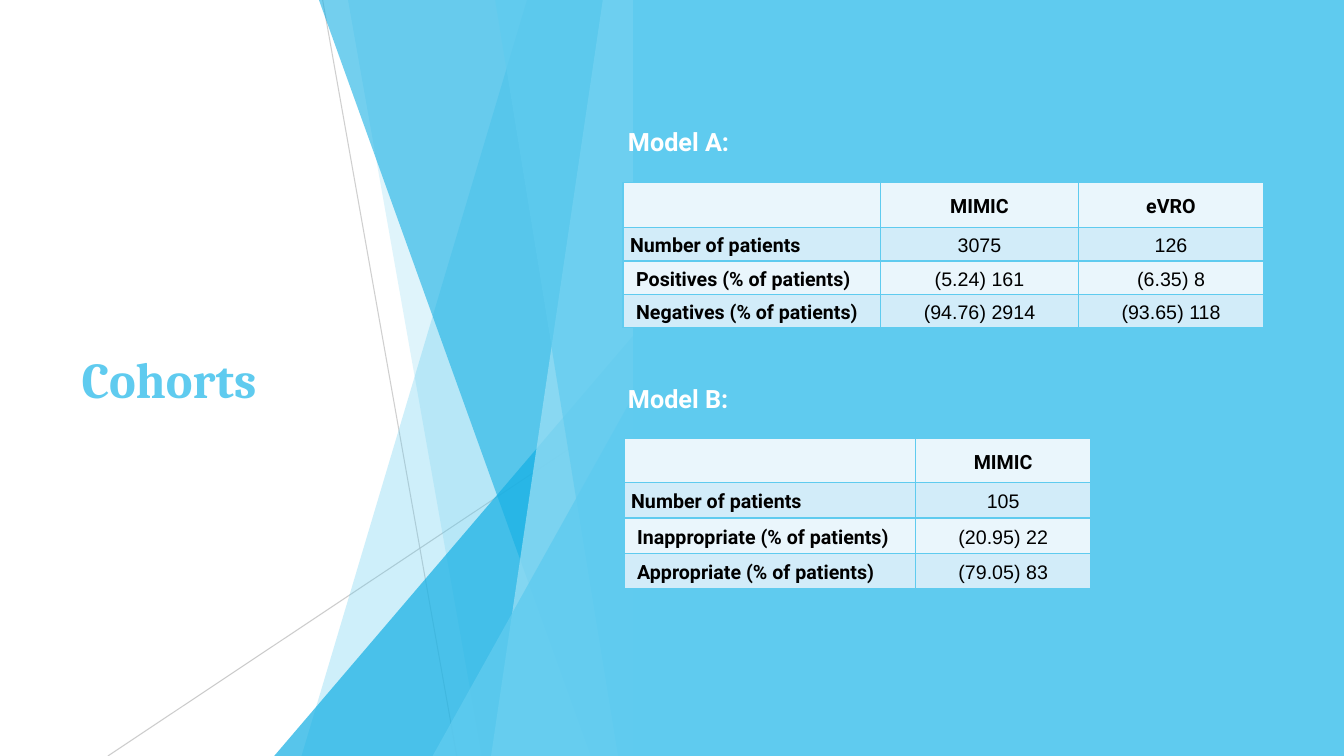
from dataclasses import dataclass

from lxml import etree
from pptx import Presentation
from pptx.dml.color import RGBColor
from pptx.enum.shapes import MSO_CONNECTOR, MSO_SHAPE
from pptx.enum.text import MSO_ANCHOR, PP_ALIGN
from pptx.oxml import parse_xml
from pptx.oxml.ns import nsdecls, qn
from pptx.util import Inches, Pt

STRAIGHT = MSO_CONNECTOR.STRAIGHT
TRIANGLE, RECT = MSO_SHAPE.ISOSCELES_TRIANGLE, MSO_SHAPE.RECTANGLE
MIDDLE, LEFT, CENTER = MSO_ANCHOR.MIDDLE, PP_ALIGN.LEFT, PP_ALIGN.CENTER

SKY = RGBColor(0x5F, 0xCB, 0xEF)
BLUE = RGBColor(0x17, 0xB0, 0xE4)
PALE = RGBColor(0x9F, 0xE0, 0xF5)
GRAY = RGBColor(0xBF, 0xBF, 0xBF)
LIGHT_ROW = RGBColor(0xEA, 0xF6, 0xFC)
DARK_ROW = RGBColor(0xD2, 0xEC, 0xF9)
BLACK = RGBColor(0, 0, 0)
WHITE = RGBColor(0xFF, 0xFF, 0xFF)

WIDTH, HEIGHT = 13.33, 7.5
PANEL_LEFT = 6.28
BEAM_TOP = -0.01
CELL_MARGINS = {"margin_left": Inches(0.07), "margin_right": Inches(0.07),
                "margin_top": 0, "margin_bottom": 0, "vertical_anchor": MIDDLE}
TITLE_FONT = {"name": "Cambria", "size": Pt(36), "bold": True}
LABEL_FONT = {"name": "Roboto", "size": Pt(18), "bold": True}
HEAD_FONT = {"name": "Roboto", "size": Pt(14), "bold": True}
VALUE_FONT = HEAD_FONT | {"bold": False}


@dataclass
class Ray:
    x1: float
    y1: float
    x2: float
    alpha: int


@dataclass
class Beam:
    top_x: float
    bottom_x: float
    color: RGBColor
    alpha: int


@dataclass
class Wedge:
    left: float
    top: float
    color: RGBColor
    alpha: int


@dataclass
class Cohort:
    label: str
    label_top: float
    label_width: float
    label_spacing: float
    left: float
    top: float
    widths: list[float]
    heights: list[float]
    rows: list[list[str]]


RAYS = [Ray(3.2, 0, 4.53, 75), Ray(PANEL_LEFT, 4.03, 1.07, 80)]
FAN = [
    Beam(5.23, 2.99, SKY, 30),
    Beam(3.45, 4.78, SKY, 20),
    Wedge(2.72, 3.33, BLUE, 72),
    Beam(3.16, 5.86, BLUE, 60),
    Beam(5.98, 4.87, PALE, 70),
    Beam(4.91, 6.13, SKY, 65),
    Wedge(4.29, 3.93, SKY, 80),
]
COHORTS = [
    Cohort("Model A:", 1.14, 1.75, 1.2, 6.18, 1.81, [2.55, 1.97, 1.83], [0.45] + [0.33] * 3, [
        ["", "MIMIC", "eVRO"],
        ["Number of patients", "3075", "126"],
        ["Positives (% of patients)", "161 (5.24)", "8 (6.35)"],
        ["Negatives (% of patients)", "2914 (94.76)", "118 (93.65)"],
    ]),
    Cohort("Model B:", 3.75, 1.32, 1.0, 6.19, 4.35, [2.89, 1.74], [0.44] + [0.35] * 3, [
        ["", "MIMIC"],
        ["Number of patients", "105"],
        ["Inappropriate (% of patients)", "22 (20.95)"],
        ["Appropriate (% of patients)", "83 (79.05)"],
    ]),
]


def apply(target, values: dict) -> None:
    for name, value in values.items():
        setattr(target, name, value)


def set_alpha(shape, alpha: int) -> None:
    clr = shape._element.spPr.find(".//" + qn("a:srgbClr"))
    etree.SubElement(clr, qn("a:alpha")).set("val", str(alpha * 1000))


def paint(shape, color: RGBColor, alpha: int = 100) -> None:
    shape.shadow.inherit = False
    shape.fill.solid()
    shape.fill.fore_color.rgb = color
    shape.line.fill.background()
    if alpha < 100:
        set_alpha(shape, alpha)


def add_ray(s, ray: Ray) -> None:
    line = s.shapes.add_connector(STRAIGHT, Inches(ray.x1), Inches(ray.y1),
                                  Inches(ray.x2), Inches(HEIGHT))
    line.line.color.rgb = GRAY
    line.line.width = Pt(0.75)
    set_alpha(line, ray.alpha)
    etree.SubElement(line._element.spPr, qn("a:effectLst"))


def add_beam(s, beam: Beam) -> None:
    corners = [(PANEL_LEFT, BEAM_TOP), (PANEL_LEFT, HEIGHT), (beam.bottom_x, HEIGHT)]
    builder = s.shapes.build_freeform(Inches(beam.top_x), Inches(BEAM_TOP))
    builder.add_line_segments([(Inches(x), Inches(y)) for x, y in corners], close=True)
    paint(builder.convert_to_shape(), beam.color, beam.alpha)


def add_wedge(s, wedge: Wedge) -> None:
    sp = s.shapes.add_shape(TRIANGLE, Inches(wedge.left), Inches(wedge.top),
                            Inches(PANEL_LEFT - wedge.left), Inches(HEIGHT - wedge.top))
    sp.adjustments[0] = 1
    paint(sp, wedge.color, wedge.alpha)


def write(p, text: str, font: dict, color: RGBColor):
    r = p.add_run()
    r.text = text
    apply(r.font, font)
    r.font.color.rgb = color
    return r


def add_borders(cell) -> None:
    tcPr = cell._tc.get_or_add_tcPr()
    for i, side in enumerate(("lnL", "lnR", "lnT", "lnB")):
        tcPr.insert(i, parse_xml(
            f'<a:{side} {nsdecls("a")} w="12700"><a:solidFill>'
            f'<a:srgbClr val="{SKY}"/></a:solidFill></a:{side}>'))


def fill_cell(cell, text: str, row: int, col: int) -> None:
    apply(cell, CELL_MARGINS)
    cell.fill.solid()
    cell.fill.fore_color.rgb = DARK_ROW if row % 2 else LIGHT_ROW
    add_borders(cell)
    if not text:
        return
    p = cell.text_frame.paragraphs[0]
    apply(p, {"alignment": CENTER if col else LEFT, "line_spacing": 1.15})
    is_value = row > 0 and col > 0
    r = write(p, text, VALUE_FONT if is_value else HEAD_FONT, BLACK)
    if is_value:
        p._p.get_or_add_pPr().set("rtl", "1")
        etree.SubElement(r._r.rPr, qn("a:cs")).set("typeface", "Arial")
    elif row > 1:
        p._p.get_or_add_pPr().set("marL", str(Inches(0.06)))


def add_cohort(s, cohort: Cohort) -> None:
    table = s.shapes.add_table(
        len(cohort.rows), len(cohort.widths), Inches(cohort.left), Inches(cohort.top),
        Inches(sum(cohort.widths)), Inches(sum(cohort.heights))).table
    apply(table, {"first_row": False, "horz_banding": False})
    for column, width in zip(table.columns, cohort.widths):
        column.width = Inches(width)
    for i, (height, texts) in enumerate(zip(cohort.heights, cohort.rows)):
        table.rows[i].height = Inches(height)
        for j, text in enumerate(texts):
            fill_cell(table.cell(i, j), text, i, j)
    tf = s.shapes.add_textbox(Inches(6.13), Inches(cohort.label_top),
                              Inches(cohort.label_width), Inches(0.81)).text_frame
    tf.word_wrap = True
    p = tf.paragraphs[0]
    p.line_spacing = cohort.label_spacing
    write(p, cohort.label, LABEL_FONT, WHITE)


def main() -> None:
    prs = Presentation()
    apply(prs, {"slide_width": Inches(WIDTH), "slide_height": Inches(HEIGHT)})
    s = prs.slides.add_slide(prs.slide_layouts[5])
    for ray in RAYS:
        add_ray(s, ray)
    for part in FAN:
        if isinstance(part, Beam):
            add_beam(s, part)
        else:
            add_wedge(s, part)
    title = s.shapes.title
    apply(title, {"left": Inches(0.71), "top": Inches(1.51),
                  "width": Inches(3.88), "height": Inches(4.48)})
    title.text_frame.vertical_anchor = MIDDLE
    p = title.text_frame.paragraphs[0]
    p.alignment = LEFT
    write(p, "Cohorts", TITLE_FONT, SKY)
    panel = s.shapes.add_shape(RECT, Inches(PANEL_LEFT), 0,
                               Inches(WIDTH - PANEL_LEFT), Inches(HEIGHT))
    paint(panel, SKY)
    for cohort in COHORTS:
        add_cohort(s, cohort)
    prs.save("out.pptx")


if __name__ == "__main__":
    main()
